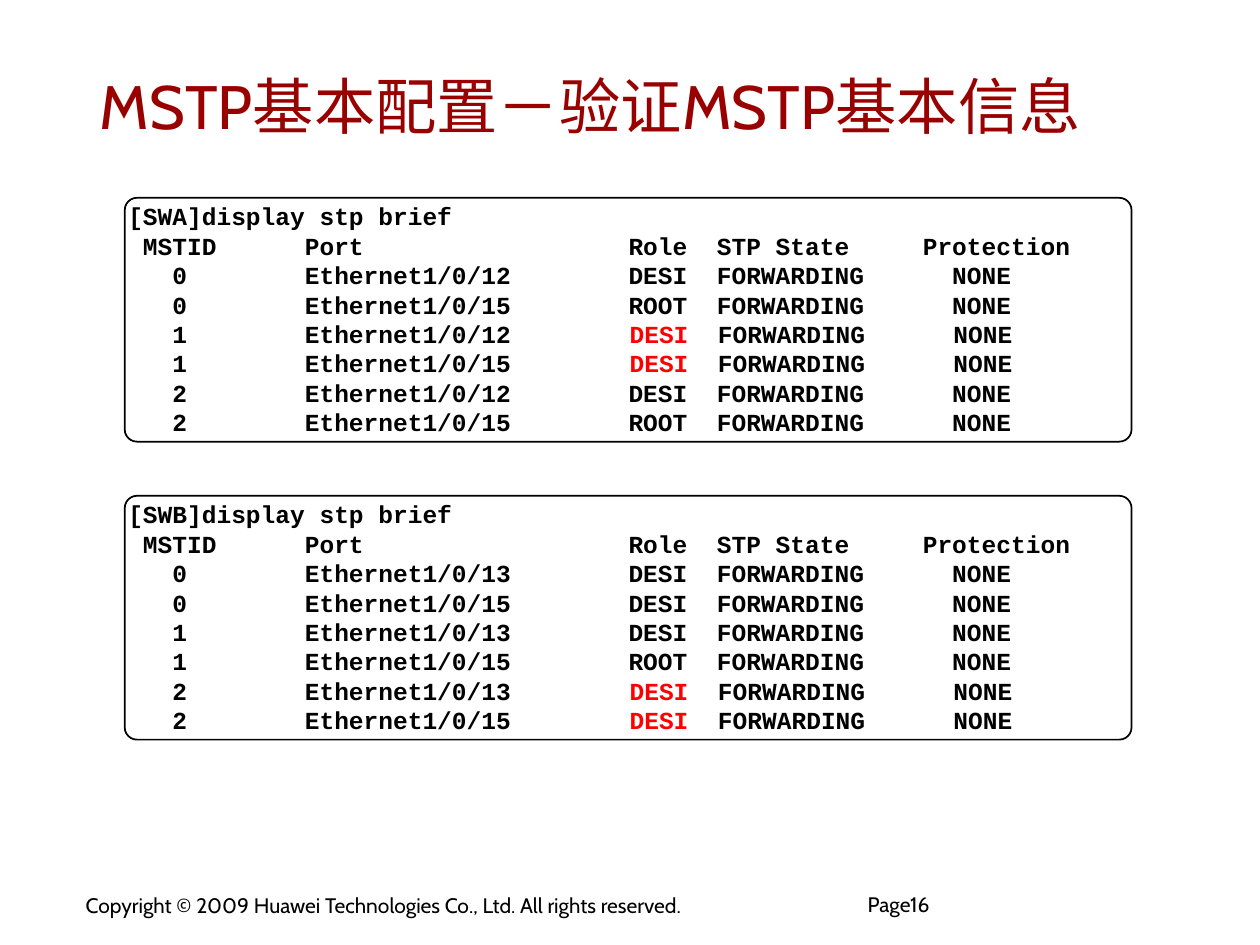
import dataclasses

import pptx
import pptx.dml.color
import pptx.enum.shapes
import pptx.enum.text
import pptx.util


@dataclasses.dataclass(frozen=True)
class Theme:
    body_font: str = "Cabin"
    code_font: str = "Courier New"
    title_size: float = 35
    footer_size: float = 12
    code_size: float = 14
    code_pitch: float = 16.8
    title_color: str = "990000"
    text_color: str = "000000"
    mark_color: str = "FF0000"
    background: str = "FFFFFF"


@dataclasses.dataclass(frozen=True)
class Box:
    left: float
    top: float
    width: float
    height: float


THEME = Theme()
SLIDE_WIDTH = pptx.util.Inches(10)
SLIDE_HEIGHT = pptx.util.Inches(7.5)
COLUMN = SLIDE_WIDTH / 100
ROW = SLIDE_HEIGHT / 75
INSETS = (0.09, 0.04)

OUTPUTS = [
    ("SWA", "Ethernet1/0/12", ["DESI", "ROOT", "DESI", "DESI", "DESI", "ROOT"], 1),
    ("SWB", "Ethernet1/0/13", ["DESI", "DESI", "DESI", "ROOT", "DESI", "DESI"], 2),
]
SHARED_PORT = "Ethernet1/0/15"


def color(value):
    return pptx.dml.color.RGBColor.from_string(value)


def place(box):
    return (round(box.left * COLUMN), round(box.top * ROW),
            round(box.width * COLUMN), round(box.height * ROW))


def set_font(font, name, size, value, bold=False):
    font.name = name
    font.size = pptx.util.Pt(size)
    font.bold = bold
    font.color.rgb = color(value)


def set_frame(frame, insets, anchor):
    frame.word_wrap = True
    frame.vertical_anchor = anchor
    frame.margin_left = frame.margin_right = pptx.util.Inches(insets[0])
    frame.margin_top = frame.margin_bottom = pptx.util.Inches(insets[1])


def add_label(slide, box, text, size, value, insets=INSETS,
              anchor=pptx.enum.text.MSO_ANCHOR.TOP):
    frame = slide.shapes.add_textbox(*place(box)).text_frame
    set_frame(frame, insets, anchor)
    paragraph = frame.paragraphs[0]
    paragraph.text = text
    set_font(paragraph.font, THEME.body_font, size, value)
    return paragraph


def add_title(slide, box):
    add_label(slide, box, "MSTP基本配置－验证MSTP基本信息", THEME.title_size,
              THEME.title_color, anchor=pptx.enum.text.MSO_ANCHOR.MIDDLE)


def add_footer(slide, box):
    notice = Box(box.left, box.top, box.width * 0.69, box.height * 0.67)
    number = Box(box.left + box.width * 0.79, box.top + box.height * 0.16,
                 box.width * 0.21, box.height * 0.84)
    add_label(slide, notice,
              "Copyright © 2009 Huawei Technologies Co., Ltd. All rights reserved.",
              THEME.footer_size, THEME.text_color)
    page = add_label(slide, number, "Page16", THEME.footer_size,
                     THEME.text_color, insets=(0, 0))
    page.line_spacing = 0.85


def output_lines(switch, first_port, roles, marked_instance):
    yield [f"[{switch}]display stp brief"]
    yield [f"{' MSTID':<12}{'Port':<22}{'Role':<6}{'STP State':<14}Protection"]
    for index, role in enumerate(roles):
        instance = index // 2
        port = (first_port, SHARED_PORT)[index % 2]
        start = f"   {instance:<9}{port:<22}"
        end = f"  {'FORWARDING':<16}NONE"
        if instance == marked_instance:
            yield [start, role, end]
        else:
            yield [start + role + end]


def add_terminal(slide, box, lines):
    shape = slide.shapes.add_shape(
        pptx.enum.shapes.MSO_SHAPE.ROUNDED_RECTANGLE, *place(box))
    shape.adjustments[0] = 0.05
    shape.shadow.inherit = False
    shape.fill.background()
    shape.line.color.rgb = color(THEME.text_color)
    shape.line.width = pptx.util.Pt(1)
    frame = shape.text_frame
    set_frame(frame, (0, 0), pptx.enum.text.MSO_ANCHOR.TOP)
    for index, parts in enumerate(lines):
        paragraph = frame.add_paragraph() if index else frame.paragraphs[0]
        paragraph.alignment = pptx.enum.text.PP_ALIGN.LEFT
        paragraph.line_spacing = pptx.util.Pt(THEME.code_pitch)
        set_font(paragraph.font, THEME.code_font, THEME.code_size,
                 THEME.text_color, bold=True)
        for position, part in enumerate(parts):
            run = paragraph.add_run()
            run.text = part
            if position == 1:
                run.font.color.rgb = color(THEME.mark_color)


def add_terminals(slide, box):
    height = box.height * 0.45
    step = (box.height - height) / (len(OUTPUTS) - 1)
    for index, output in enumerate(OUTPUTS):
        area = Box(box.left, box.top + index * step, box.width, height)
        add_terminal(slide, area, output_lines(*output))


def main():
    presentation = pptx.Presentation()
    presentation.slide_width = SLIDE_WIDTH
    presentation.slide_height = SLIDE_HEIGHT
    slide = presentation.slides.add_slide(presentation.slide_layouts[6])
    slide.background.fill.solid()
    slide.background.fill.fore_color.rgb = color(THEME.background)
    add_footer(slide, Box(5.9, 70.4, 79.7, 4.3))
    add_title(slide, Box(7, 3.6, 84.5, 9.5))
    add_terminals(slide, Box(9.9, 15.7, 79.9, 43))
    presentation.save("out.pptx")


if __name__ == "__main__":
    main()
